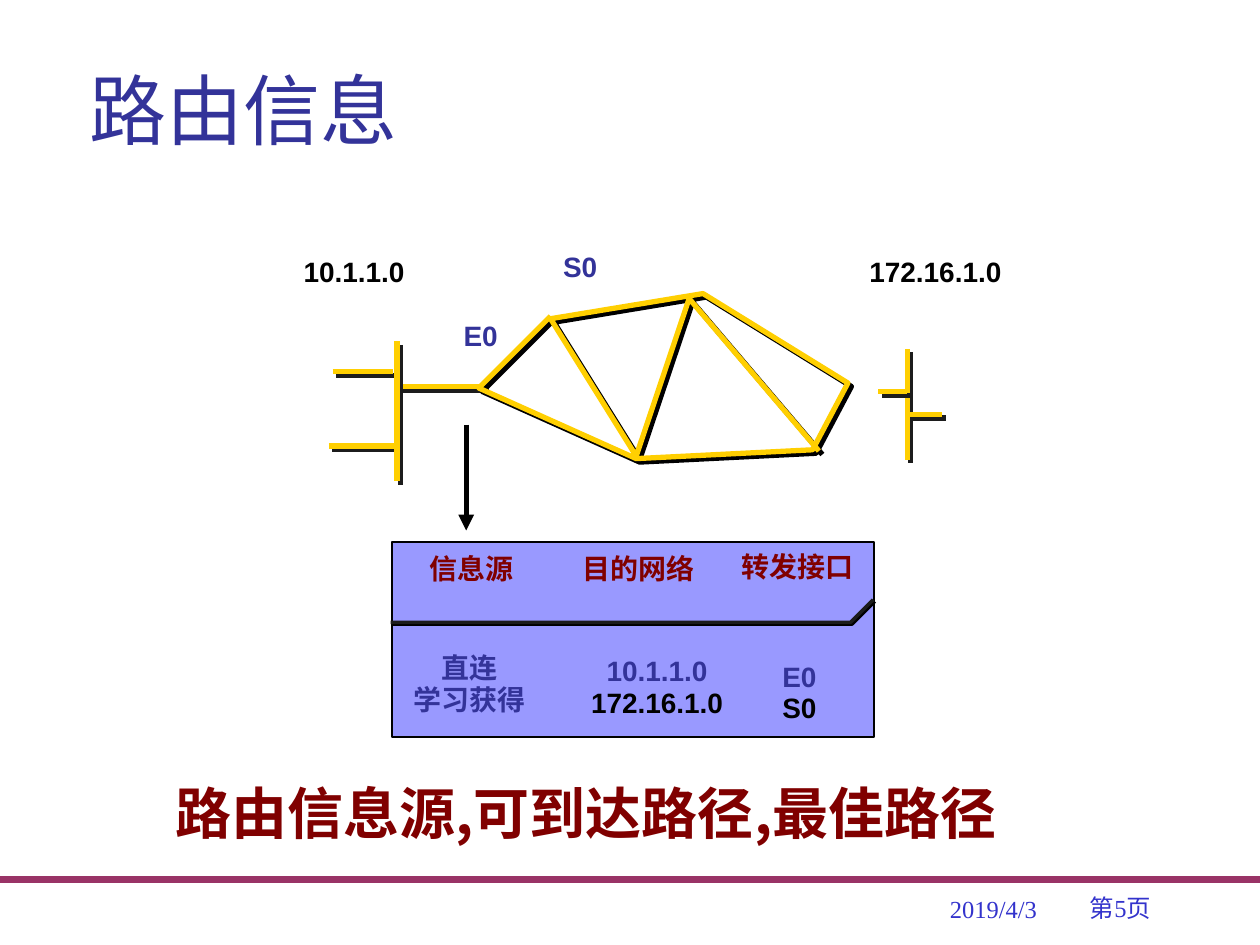
from dataclasses import dataclass

from lxml import etree
from pptx import Presentation
from pptx.dml.color import RGBColor
from pptx.enum.shapes import MSO_CONNECTOR, MSO_SHAPE
from pptx.enum.text import MSO_ANCHOR, MSO_AUTO_SIZE, PP_ALIGN
from pptx.oxml.ns import qn
from pptx.util import Inches, Pt

STRAIGHT = MSO_CONNECTOR.STRAIGHT
RECTANGLE = MSO_SHAPE.RECTANGLE
TOP, BOTTOM = MSO_ANCHOR.TOP, MSO_ANCHOR.BOTTOM
LEFT, CENTER = PP_ALIGN.LEFT, PP_ALIGN.CENTER
NO_AUTOFIT = MSO_AUTO_SIZE.NONE


@dataclass(frozen=True)
class Theme:
    navy: str = "333399"
    footer: str = "3333CC"
    maroon: str = "800000"
    black: str = "000000"
    charcoal: str = "1C1C1C"
    yellow: str = "FFCF01"
    table: str = "9999FF"
    rule: str = "993366"
    title_size: int = 44
    summary_size: int = 32
    label_size: int = 16
    footer_size: int = 14
    title_font: str = "Roboto"
    label_font: str = "Arial"
    summary_font: str = "Noto Sans CJK SC"
    footer_font: str = "Times New Roman"


theme = Theme()


def add_text(parent, frame, lines, size=theme.label_size, font=theme.label_font,
             bold=True, align=CENTER, spacing=0.95, insets=(0.11, 0.06),
             anchor=TOP, wrap=True):
    """Add a text box; lines holds (text, colour) pairs parted by line breaks."""
    box = parent.add_textbox(*map(Inches, frame))
    text = box.text_frame
    text.word_wrap = wrap
    text.auto_size = NO_AUTOFIT
    text.vertical_anchor = anchor
    text.margin_left = text.margin_right = Inches(insets[0])
    text.margin_top = text.margin_bottom = Inches(insets[1])
    para = text.paragraphs[0]
    para.alignment = align
    para.line_spacing = spacing
    para.font.size = Pt(size)
    para.font.name = font
    para.font.bold = bold
    for index, (words, color) in enumerate(lines):
        if index:
            para.add_line_break()
        span = para.add_run()
        span.text = words
        span.font.color.rgb = RGBColor.from_string(color)


def style_line(shape, color, width, shadow=None, distance=0, arrow=False):
    """Set the stroke, an optional arrowhead and an optional hard shadow."""
    shape.line.color.rgb = RGBColor.from_string(color)
    shape.line.width = Pt(width)
    properties = shape._element.spPr
    if arrow:
        etree.SubElement(properties.find(qn("a:ln")), qn("a:tailEnd"), type="triangle")
    effects = etree.SubElement(properties, qn("a:effectLst"))
    if shadow:
        cast = etree.SubElement(effects, qn("a:outerShdw"), dist=str(Pt(distance)),
                                dir="2700000", algn="ctr", rotWithShape="0")
        etree.SubElement(cast, qn("a:srgbClr"), val=shadow)


deck = Presentation()
deck.slide_width, deck.slide_height = Inches(10), Inches(7.5)
page = deck.slides.add_slide(deck.slide_layouts[5])
shapes = page.shapes

# Title
title = shapes.title
title.left, title.top, title.width, title.height = map(Inches, (0.61, 0.05, 9.19, 1.23))
title.text_frame.text = "路由信息"
title.text_frame.vertical_anchor = BOTTOM
title.text_frame.auto_size = NO_AUTOFIT
heading = title.text_frame.paragraphs[0]
heading.alignment = LEFT
heading.font.size = Pt(theme.title_size)
heading.font.name = theme.title_font
heading.font.color.rgb = RGBColor.from_string(theme.navy)

# Footer: rule, page number and date
footer_rule = shapes.add_connector(STRAIGHT, *map(Inches, (0, 6.98, 10, 6.98)))
style_line(footer_rule, theme.rule, 4.5)
for frame, words in (((8.55, 7.05, 1.42, 0.32), "第5页"),
                     ((7.44, 7.22, 1.34, 0.16), "2019/4/3")):
    add_text(shapes, frame, [(words, theme.footer)], theme.footer_size, theme.footer_font,
             bold=False, align=LEFT, spacing=1.0, insets=(0.1, 0.05), anchor=BOTTOM)

# Routing table panel
panel = shapes.add_group_shape().shapes
background = panel.add_shape(RECTANGLE, *map(Inches, (3.11, 4.3, 3.83, 1.55)))
background.fill.solid()
background.fill.fore_color.rgb = RGBColor.from_string(theme.table)
style_line(background, theme.black, 1)

builder = panel.build_freeform(Inches(3.1), Inches(4.94), scale=1.0)
builder.add_line_segments([(Inches(x), Inches(y)) for x, y in ((6.75, 4.94), (6.93, 4.76))],
                          close=False)
divider = builder.convert_to_shape()
divider.fill.background()
style_line(divider, theme.charcoal, 2, theme.black, 1.4)

table_texts = (
    ((3.16, 4.34, 1.16, 0.37), [("信息源", theme.maroon)]),
    ((4.32, 4.34, 1.5, 0.37), [("目的网络", theme.maroon)]),
    ((5.58, 4.32, 1.5, 0.37), [("转发接口", theme.maroon)]),
    ((2.72, 5.12, 2.01, 0.88), [("直连", theme.navy), ("学习获得", theme.navy)]),
    ((4.46, 5.15, 1.51, 0.88), [("10.1.1.0", theme.navy), ("172.16.1.0", theme.black)]),
    ((5.76, 5.19, 1.17, 0.62), [("E0", theme.navy), ("S0", theme.black)]),
)
for frame, lines in table_texts:
    add_text(panel, frame, lines)

# Local networks on both sides
network_lines = (
    (7.2, 2.77, 7.2, 3.65),
    (2.64, 2.95, 3.12, 2.95),
    (6.97, 3.11, 7.2, 3.11),
    (7.2, 3.29, 7.48, 3.29),
    (2.61, 3.54, 3.14, 3.54),
    (3.16, 3.07, 3.85, 3.07),
    (3.15, 2.71, 3.15, 3.82),
)
for ends in network_lines:
    wire = shapes.add_connector(STRAIGHT, *map(Inches, ends))
    style_line(wire, theme.yellow, 3, theme.charcoal, 2.8)

# Network addresses
for frame, address in (((6.9, 2.01, 1.05, 0.28), "172.16.1.0"),
                       ((2.41, 2.01, 0.8, 0.28), "10.1.1.0")):
    add_text(shapes, frame, [(address, theme.black)], align=LEFT, spacing=Pt(20),
             insets=(0, 0), wrap=False)

# Arrow from the router to its table
arrow = shapes.add_connector(STRAIGHT, *map(Inches, (3.7, 3.37, 3.7, 4.21)))
style_line(arrow, theme.black, 3, arrow=True)

# Mesh of routers
mesh_points = ((3.8, 3.08), (5.05, 3.64), (6.45, 3.57), (6.73, 3.04), (5.58, 2.33),
               (4.37, 2.53), (5.05, 3.62), (5.47, 2.37), (6.5, 3.58))
builder = shapes.build_freeform(Inches(4.37), Inches(2.51), scale=1.0)
builder.add_line_segments([(Inches(x), Inches(y)) for x, y in mesh_points], close=False)
mesh = builder.convert_to_shape()
mesh.fill.background()
style_line(mesh, theme.yellow, 3, theme.black, 2.8)

# Interface labels
for frame, name in (((3.5, 2.49, 0.63, 0.37), "E0"), ((4.29, 1.94, 0.63, 0.37), "S0")):
    add_text(shapes, frame, [(name, theme.navy)])

# Summary
add_text(shapes, (1.3, 6.19, 7.48, 0.55), [("路由信息源,可到达路径,最佳路径", theme.maroon)],
         theme.summary_size, theme.summary_font, align=LEFT, spacing=0.9, insets=(0.09, 0.05))

deck.save("out.pptx")
